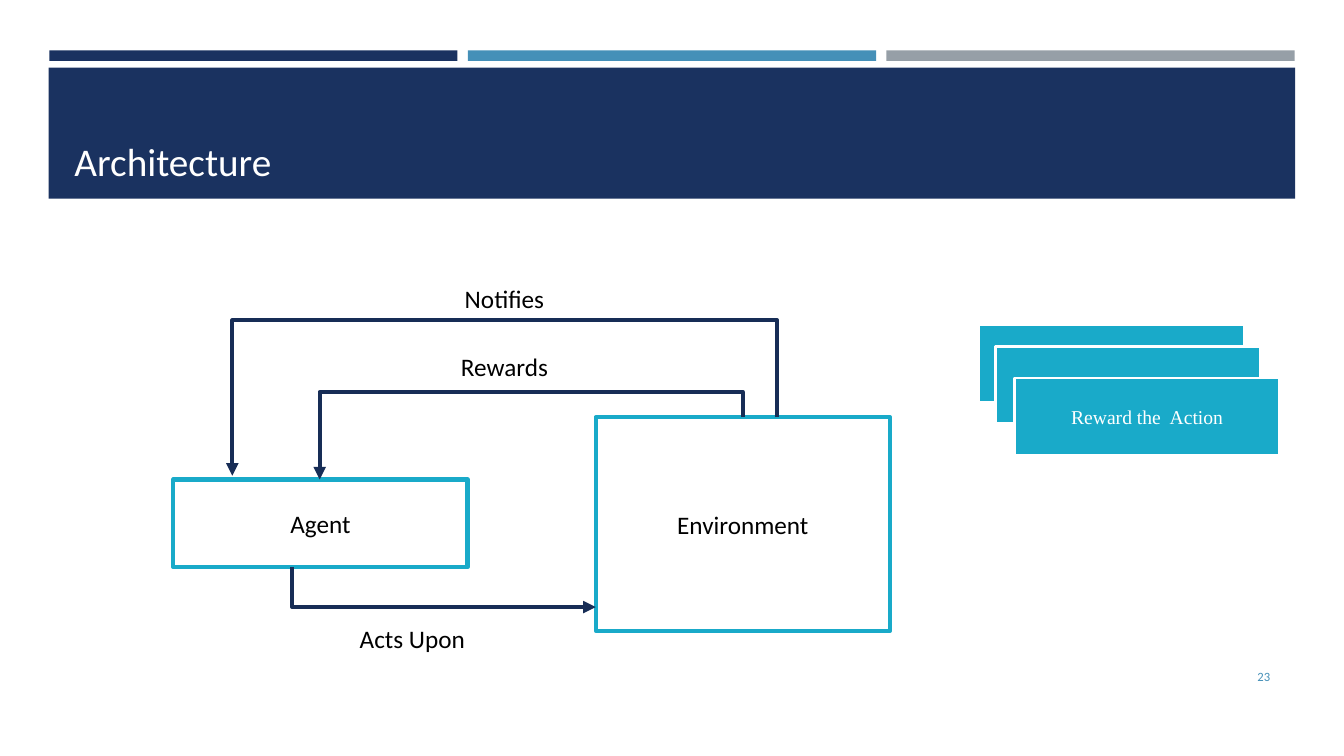
from lxml.etree import SubElement
from pptx import Presentation
from pptx.dml.color import RGBColor
from pptx.enum.shapes import MSO_CONNECTOR as CONN, MSO_SHAPE as SHAPE
from pptx.enum.text import MSO_ANCHOR as ANCHOR, PP_ALIGN as ALIGN
from pptx.oxml.ns import qn
from pptx.util import Pt

NAVY = RGBColor(0x1A, 0x32, 0x60)
ARROW = RGBColor(0x17, 0x2D, 0x56)
BLUE = RGBColor(0x45, 0x90, 0xB8)
GREY = RGBColor(0x96, 0x9F, 0xA7)
TEAL = RGBColor(0x19, 0xAA, 0xC9)
WHITE = RGBColor(0xFF, 0xFF, 0xFF)
BLACK = RGBColor(0, 0, 0)


class SlideBuilder:
    font = "Calibri"
    serif = "Times New Roman"
    line_width = 3

    def __init__(self, s):
        self.s = s

    def set_text(self, sp, text, size=18, color=BLACK, font=None,
                 align=ALIGN.CENTER, anchor=ANCHOR.MIDDLE):
        tf = sp.text_frame
        tf.word_wrap = True
        tf.vertical_anchor = anchor
        p = tf.paragraphs[0]
        p.text = text
        p.alignment = align
        p.font.size = Pt(size)
        p.font.name = font or self.font
        p.font.color.rgb = color

    def title(self, text, x, y, w, h):
        sp = self.s.shapes.title
        sp.left, sp.top, sp.width, sp.height = Pt(x), Pt(y), Pt(w), Pt(h)
        self.set_text(sp, text, 28, WHITE, align=ALIGN.LEFT, anchor=ANCHOR.BOTTOM)

    def rect(self, x, y, w, h, fill, line=None, width=line_width):
        sp = self.s.shapes.add_shape(SHAPE.RECTANGLE, Pt(x), Pt(y), Pt(w), Pt(h))
        sp.shadow.inherit = False
        sp.fill.solid()
        sp.fill.fore_color.rgb = fill
        if line is None:
            sp.line.fill.background()
        else:
            sp.line.color.rgb = line
            sp.line.width = Pt(width)
        return sp

    def label(self, text, x, y, w=195, h=28.8, **style):
        sp = self.s.shapes.add_textbox(Pt(x), Pt(y), Pt(w), Pt(h))
        self.set_text(sp, text, **style)

    def elbow(self, x, y, w, h, bend, **turn):
        """Elbow arrow in an unturned box; bend is a share of its width."""
        cxn = self.s.shapes.add_connector(CONN.ELBOW, Pt(x), Pt(y), Pt(x + w), Pt(y + h))
        cxn.line.color.rgb = ARROW
        cxn.line.width = Pt(self.line_width)
        spPr = cxn._element.spPr
        for name, value in turn.items():
            spPr.find(qn("a:xfrm")).set(name, value)
        guides = spPr.find(qn("a:prstGeom")).get_or_add_avLst()
        SubElement(guides, qn("a:gd"), name="adj1", fmla=f"val {round(bend * 100000)}")
        SubElement(spPr.find(qn("a:ln")), qn("a:tailEnd"), type="triangle")
        SubElement(spPr, qn("a:effectLst"))

    def arch(self, x1, y1, x2, y2, top):
        """Arrow up from the right, across at top and down on the left."""
        drop, span = y2 - y1, x1 - x2
        x, y = (x1 + x2 - drop) / 2, (y1 + y2 - span) / 2
        self.elbow(x, y, drop, span, (top - y1) / drop,
                   rot="16200000", flipH="1", flipV="1")


def main():
    prs = Presentation()
    prs.slide_width, prs.slide_height = Pt(960), Pt(540)
    s = prs.slides.add_slide(prs.slide_layouts[5])
    b = SlideBuilder(s)

    # Header band, placed behind the title
    for i, color in enumerate((NAVY, BLUE, GREY)):
        b.rect(35.2 + i * 299, 36, 291.6, 7.5, color)
    band = b.rect(34.8, 48.3, 890.4, 93.6, NAVY)
    s.shapes.title._element.addprevious(band._element)
    b.title("Architecture", 46, 55.4, 868, 80)

    # Agent and environment
    for text, x, y, h in (("Environment", 425.5, 298, 152.6),
                          ("Agent", 123.8, 342.5, 62.6)):
        b.set_text(b.rect(x, y, 210.2, h, WHITE, TEAL), text)

    # Arrows and their labels
    b.arch(530.5, 298, 228.4, 342.5, 280)
    b.arch(555, 298, 166, 339.8, 228.8)
    b.elbow(208.8, 405, 216.7, 28.6, 0)
    for text, x, y in (("Notifies", 262.8, 198.7), ("Rewards", 262.8, 247.7),
                       ("Acts Upon", 197, 441.3)):
        b.label(text, x, y)

    # Stacked cards, the front one with text
    for x, y in ((699.2, 231.8), (711, 247.3), (724.8, 270)):
        card = b.rect(x, y, 189.4, 55.4, TEAL, WHITE, 2)
    b.set_text(card, "Reward the  Action", 14, WHITE, b.serif)

    # Slide number
    b.label("23", 831.6, 468.7, 82.8, size=9, color=BLUE, align=ALIGN.RIGHT)

    prs.save("out.pptx")


if __name__ == "__main__":
    main()
